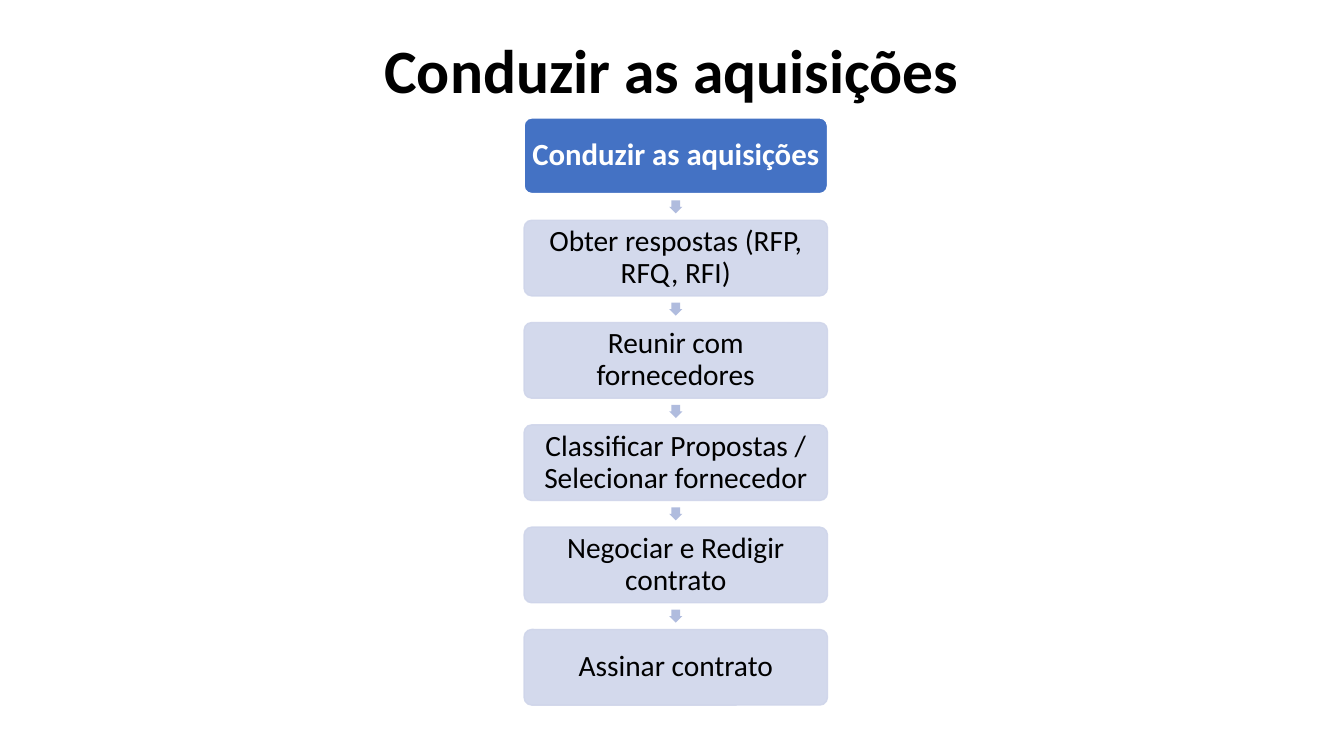
from lxml import etree
from pptx import Presentation
from pptx.dml.color import RGBColor
from pptx.enum.shapes import MSO_SHAPE
from pptx.enum.text import MSO_ANCHOR, MSO_AUTO_SIZE, PP_ALIGN
from pptx.oxml.ns import qn
from pptx.util import Pt

ROUNDED = MSO_SHAPE.ROUNDED_RECTANGLE
ARROW = MSO_SHAPE.RIGHT_ARROW
CENTER = PP_ALIGN.CENTER
MIDDLE = MSO_ANCHOR.MIDDLE
NO_AUTOFIT = MSO_AUTO_SIZE.NONE

EMU_PER_PX = 4572  # 200 px to the inch
SLIDE_WIDTH, SLIDE_HEIGHT = 2667, 1500
TITLE_HEIGHT = 290
BOX_LEFT, BOX_TOP, BOX_WIDTH, BOX_HEIGHT = 1040, 234, 602, 150
BOX_PITCH = 203
BOX_INSET = 6
ARROW_SIZE = 26

FONT = "Calibri"
BLACK, WHITE = "000000", "FFFFFF"
HEADER_BLUE, STEP_BLUE, ARROW_BLUE = "4472C4", "CFD5EA", "B0BCDE"

HEADING = "Conduzir as aquisições"
STEPS = [
    "Obter respostas (RFP, RFQ, RFI)",
    "Reunir com fornecedores",
    "Classificar Propostas / Selecionar fornecedor",
    "Negociar e Redigir contrato",
    "Assinar contrato",
]


def px(length):
    return round(length * EMU_PER_PX)


def color(hex_string):
    return RGBColor.from_string(hex_string)


def write_text(shape, text, size, font_color=BLACK, bold=False):
    frame = shape.text_frame
    frame.word_wrap = True
    frame.auto_size = NO_AUTOFIT
    frame.vertical_anchor = MIDDLE
    paragraph = frame.paragraphs[0]
    paragraph.alignment = CENTER
    paragraph.line_spacing = 0.9
    run = paragraph.add_run()
    run.text = text
    run.font.name = FONT
    run.font.size = Pt(size)
    run.font.bold = bold
    run.font.color.rgb = color(font_color)


def set_opacity(shape, percent):
    """Apply the opacity to the fill and the outline."""
    for color_element in shape._element.spPr.iter(qn("a:srgbClr")):
        alpha = etree.SubElement(color_element, qn("a:alpha"))
        alpha.set("val", str(percent * 1000))


def add_shape(slide, kind, left, top, width, height, fill, line=None):
    shape = slide.shapes.add_shape(kind, px(left), px(top), px(width), px(height))
    shape.shadow.inherit = False
    shape.fill.solid()
    shape.fill.fore_color.rgb = color(fill)
    if line:
        shape.line.color.rgb = color(line)
        shape.line.width = Pt(1)
    else:
        shape.line.fill.background()
    return shape


def add_box(slide, top, text, fill, line, opacity=100, **text_format):
    box = add_shape(slide, ROUNDED, BOX_LEFT, top, BOX_WIDTH, BOX_HEIGHT, fill, line)
    box.adjustments[0] = 0.1
    if opacity < 100:
        set_opacity(box, opacity)
    frame = box.text_frame
    frame.margin_left = frame.margin_right = px(BOX_INSET)
    frame.margin_top = frame.margin_bottom = px(BOX_INSET)
    write_text(box, text, **text_format)


def add_down_arrow(slide, next_box_top):
    """Centre an arrow in the gap above the next box."""
    gap = BOX_PITCH - BOX_HEIGHT
    left = BOX_LEFT + (BOX_WIDTH - ARROW_SIZE) / 2
    top = next_box_top - (gap + ARROW_SIZE) / 2
    arrow = add_shape(slide, ARROW, left, top, ARROW_SIZE, ARROW_SIZE, ARROW_BLUE)
    arrow.rotation = 90
    arrow.adjustments[0] = 0.67
    arrow.adjustments[1] = 0.5


def add_title(slide, text):
    title = slide.shapes.title
    title.left, title.top = 0, 0
    title.width, title.height = px(SLIDE_WIDTH), px(TITLE_HEIGHT)
    write_text(title, text, size=44, bold=True)


def main():
    presentation = Presentation()
    presentation.slide_width = px(SLIDE_WIDTH)
    presentation.slide_height = px(SLIDE_HEIGHT)
    slide = presentation.slides.add_slide(presentation.slide_layouts[5])

    add_title(slide, HEADING)

    # Header box, then one arrow and box per step
    add_box(slide, BOX_TOP, HEADING, HEADER_BLUE, WHITE,
            size=22, font_color=WHITE, bold=True)
    for number, step in enumerate(STEPS, start=1):
        top = BOX_TOP + number * BOX_PITCH
        add_down_arrow(slide, top)
        add_box(slide, top, step, STEP_BLUE, STEP_BLUE, opacity=90, size=21)

    presentation.save("out.pptx")


if __name__ == "__main__":
    main()
